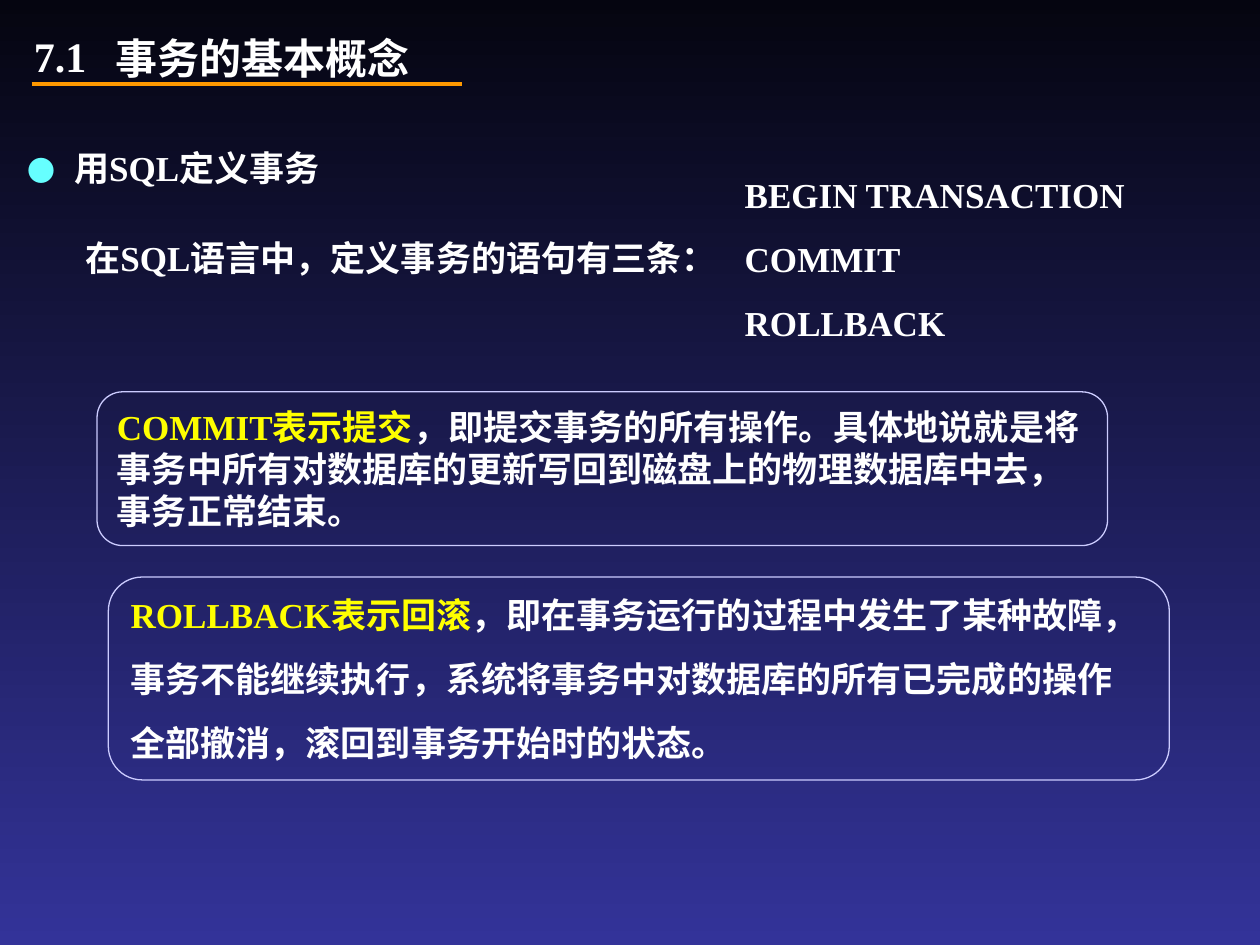
from dataclasses import dataclass

from lxml import etree
from pptx import Presentation
from pptx.dml.color import RGBColor as RGB
from pptx.enum.shapes import MSO_CONNECTOR as CONNECTOR, MSO_SHAPE as SHAPE
from pptx.enum.text import MSO_ANCHOR as ANCHOR, MSO_AUTO_SIZE as AUTO_SIZE, PP_ALIGN as ALIGN
from pptx.oxml.ns import qn
from pptx.util import Inches, Pt


@dataclass(frozen=True)
class Theme:
    font: str = "Times New Roman"
    top: RGB = RGB.from_string("050510")
    bottom: RGB = RGB.from_string("333399")
    text: RGB = RGB.from_string("FFFFFF")
    accent: RGB = RGB.from_string("FFFF00")
    bullet: RGB = RGB.from_string("66FFFF")
    border: RGB = RGB.from_string("CCCCFF")
    rule: RGB = RGB.from_string("FF9900")
    title_size: Pt = Pt(24)
    body_size: Pt = Pt(20)
    bullet_size: Pt = Pt(16)
    spacing: Pt = Pt(12.5)


theme = Theme()


def write(shape, paragraphs, size=theme.body_size, spacing=Pt(0), anchor=ANCHOR.TOP, wrap=True):
    """Fill a shape with paragraphs, each a list of (text, colour) runs."""
    frame = shape.text_frame
    frame.word_wrap = wrap
    frame.auto_size = AUTO_SIZE.NONE
    frame.vertical_anchor = anchor
    for index, runs in enumerate(paragraphs):
        paragraph = frame.add_paragraph() if index else frame.paragraphs[0]
        paragraph.alignment = ALIGN.LEFT
        if index:
            paragraph.space_before = spacing
        for text, color in runs:
            run = paragraph.add_run()
            run.text = text
            run.font.name = theme.font
            run.font.size = size
            run.font.bold = True
            run.font.color.rgb = color
    return frame


def add_text(left, top, width, height, paragraphs, **options):
    box = slide.shapes.add_textbox(Inches(left), Inches(top), Inches(width), Inches(height))
    return write(box, paragraphs, **options)


presentation = Presentation()
presentation.slide_width = Inches(10)
presentation.slide_height = Inches(7.5)
slide = presentation.slides.add_slide(presentation.slide_layouts[5])

# Background gradient, dark at the top
background = slide.background.fill
background.gradient()
background.gradient_angle = 270
for stop, color in zip(background.gradient_stops, (theme.top, theme.bottom)):
    stop.color.rgb = color

# Section number, title and rule
add_text(0.17, 0.31, 0.75, 0.27, [[("7.1", theme.text)]],
         size=theme.title_size, anchor=ANCHOR.MIDDLE)
title = slide.shapes.title
title.left, title.top = Inches(0.67), Inches(0.25)
title.width, title.height = Inches(2.83), Inches(0.42)
title_frame = write(title, [[("事务的基本概念", theme.text)]],
                    size=theme.title_size, anchor=ANCHOR.MIDDLE)
title_frame.paragraphs[0].alignment = ALIGN.CENTER

rule = slide.shapes.add_connector(CONNECTOR.STRAIGHT, Inches(0.25), Inches(0.67),
                                  Inches(3.67), Inches(0.67))
rule.line.color.rgb = theme.rule
rule.line.width = Pt(2.25)
etree.SubElement(rule._element.spPr, qn("a:effectLst"))

# Topic heading: dot, tab, text
heading = add_text(0.12, 1.11, 2.6, 0.44,
                   [[("●\t", theme.bullet), ("用SQL定义事务", theme.text)]]).paragraphs[0]
heading.runs[0].font.size = theme.bullet_size
tabs = etree.SubElement(heading._p.get_or_add_pPr(), qn("a:tabLst"))
etree.SubElement(tabs, qn("a:tab"), pos=str(Inches(0.37)), algn="l")

# Introduction and the three statements
add_text(0.58, 1.83, 5, 0.77, [[("在SQL语言中，定义事务的语句有三条：", theme.text)]])
statements = ["BEGIN TRANSACTION", "COMMIT", "ROLLBACK"]
statement_frame = add_text(5.67, 1.33, 4.08, 1.45,
                           [[(name, theme.text)] for name in statements],
                           spacing=theme.spacing)
statement_frame.margin_left = Inches(0.24)

# Rounded explanation boxes: position, spacing, key term, lines
explanations = [
    ((0.77, 3.11, 8.02, 1.22), Pt(0), "COMMIT表示提交",
     ["，即提交事务的所有操作。具体地说就是将",
      "事务中所有对数据库的更新写回到磁盘上的物理数据库中去，",
      "事务正常结束。"]),
    ((0.86, 4.58, 8.42, 1.61), theme.spacing, "ROLLBACK表示回滚",
     ["，即在事务运行的过程中发生了某种故障，",
      "事务不能继续执行，系统将事务中对数据库的所有已完成的操作",
      "全部撤消，滚回到事务开始时的状态。"]),
]
for position, spacing, term, lines in explanations:
    box = slide.shapes.add_shape(SHAPE.ROUNDED_RECTANGLE, *map(Inches, position))
    box.shadow.inherit = False
    box.fill.background()
    box.line.color.rgb = theme.border
    box.line.width = Pt(0.75)
    paragraphs = [[(line, theme.text)] for line in lines]
    paragraphs[0].insert(0, (term, theme.accent))
    write(box, paragraphs, spacing=spacing, anchor=ANCHOR.MIDDLE, wrap=False)

presentation.save("out.pptx")
